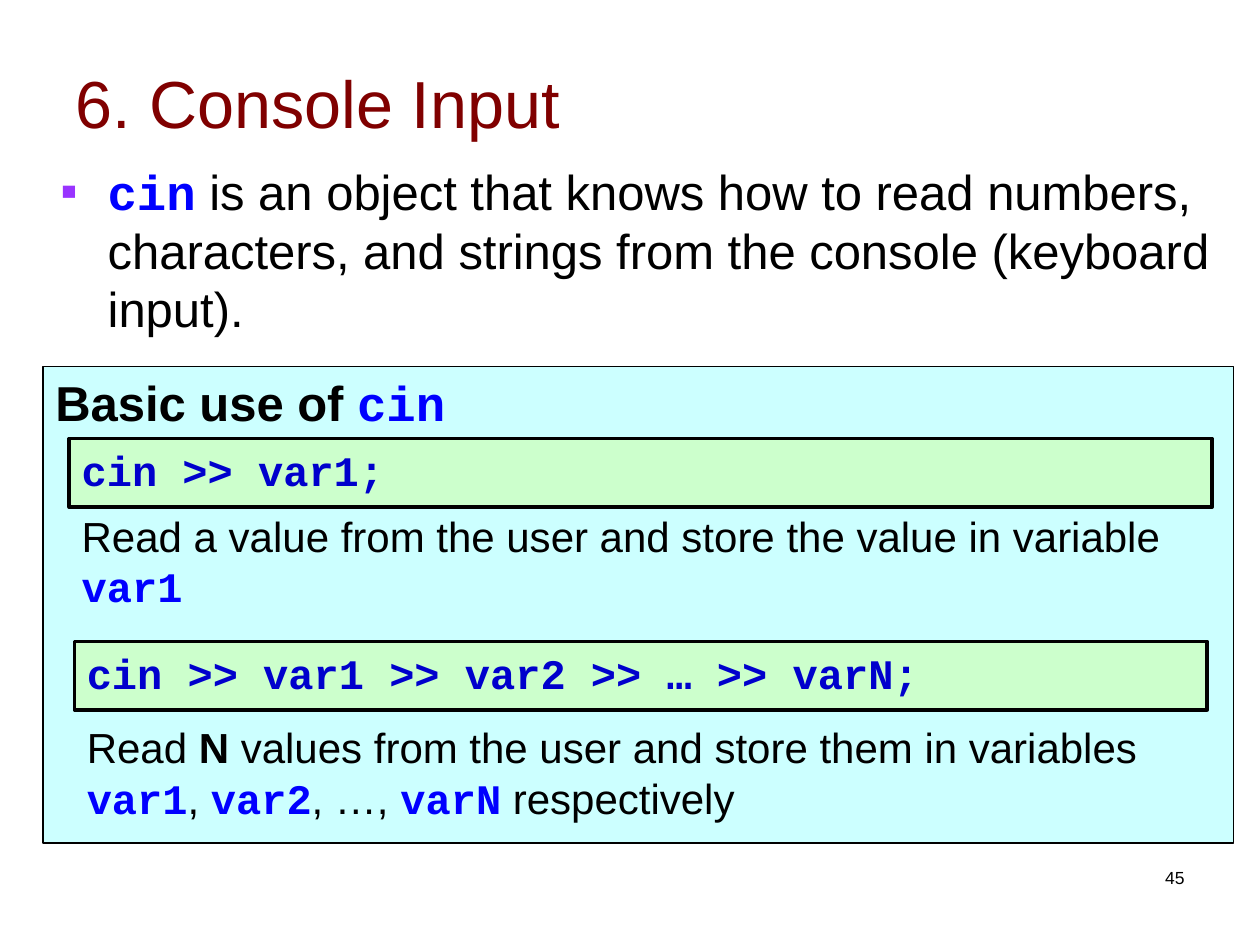
"""Build the console input slide, with its panel of two cin forms."""
from dataclasses import dataclass
from typing import Optional

import pptx
import pptx.dml.color
import pptx.enum.shapes
import pptx.enum.text
import pptx.oxml
import pptx.oxml.ns
import pptx.util

Pt = pptx.util.Pt
Anchor = pptx.enum.text.MSO_ANCHOR
Align = pptx.enum.text.PP_ALIGN


@dataclass(frozen=True)
class Run:
    text: str
    color: str = "000000"
    font: str = "Arial"
    bold: bool = False


@dataclass(frozen=True)
class Block:
    left: float
    top: float
    width: float
    height: float
    size: float
    runs: tuple[Run, ...]
    fill: Optional[str] = None
    line_width: float = 0
    anchor: Anchor = Anchor.TOP
    align: Align = Align.LEFT
    bullet: bool = False


def code(text: str, color: str = "0000FF") -> Run:
    return Run(text, color, "Courier New", True)


def rgb(value: str) -> pptx.dml.color.RGBColor:
    return pptx.dml.color.RGBColor.from_string(value)


def style_font(font, run: Run, size: float) -> None:
    font.name = run.font
    font.size = Pt(size)
    font.bold = run.bold
    font.color.rgb = rgb(run.color)


def add_bullet(paragraph, color: str, character: str, indent: float) -> None:
    paragraph.space_before = Pt(7)
    properties = paragraph._p.get_or_add_pPr()
    properties.set("marL", str(Pt(indent)))
    properties.set("indent", str(-Pt(indent)))
    namespace = pptx.oxml.ns.nsdecls("a")
    for xml in (
        f'<a:buClr {namespace}><a:srgbClr val="{color}"/></a:buClr>',
        f'<a:buFont {namespace} typeface="Arial"/>',
        f'<a:buChar {namespace} char="{character}"/>',
    ):
        properties.append(pptx.oxml.parse_xml(xml))


def add_block(slide, block: Block) -> None:
    bounds = [Pt(value) for value in (block.left, block.top, block.width, block.height)]
    if block.fill:
        shape = slide.shapes.add_shape(pptx.enum.shapes.MSO_SHAPE.RECTANGLE, *bounds)
        shape.shadow.inherit = False
        shape.fill.solid()
        shape.fill.fore_color.rgb = rgb(block.fill)
        shape.line.color.rgb = rgb("000000")
        shape.line.width = Pt(block.line_width)
    else:
        shape = slide.shapes.add_textbox(*bounds)
    frame = shape.text_frame
    frame.word_wrap = True
    frame.vertical_anchor = block.anchor
    paragraph = frame.paragraphs[0]
    paragraph.alignment = block.align
    if block.bullet:
        add_bullet(paragraph, "9933FF", "▪", 27)
    if len(block.runs) == 1:
        style_font(paragraph.font, block.runs[0], block.size)
    for item in block.runs:
        run = paragraph.add_run()
        run.text = item.text
        if len(block.runs) > 1:
            style_font(run.font, item, block.size)


def code_box(left: float, top: float, width: float, text: str) -> Block:
    return Block(left, top, width, 39.2, 24, (code(text, "0000CC"),), "CCFFCC", 2)


BLOCKS = (
    Block(27.4, 88.6, 671, 115.2, 28, (
        code("cin"),
        Run(" is an object that knows how to read numbers, characters, "
            "and strings from the console (keyboard input)."),
    ), bullet=True),
    Block(24.5, 209.5, 680.4, 272.2, 28,
          (Run("Basic use of ", bold=True), code("cin")), "CCFFFF", 0.75),
    Block(36, 13, 665.3, 90, 38, (Run("6. Console Input", "800000"),), anchor=Anchor.MIDDLE),
    code_box(39.6, 250.6, 653, "cin >> var1;"),
    code_box(42.5, 366.5, 647.3, "cin >> var1 >> var2 >> … >> varN;"),
    Block(39.6, 288, 653, 64.8, 24, (
        Run("Read a value from the user and store the value in variable "),
        code("var1"),
    )),
    Block(42.5, 409, 647.3, 64.8, 24, (
        Run("Read "), Run("N", bold=True),
        Run(" values from the user and store them in variables "),
        code("var1"), Run(", "), code("var2"), Run(", …, "), code("varN"),
        Run(" respectively"),
    )),
    Block(516.2, 491.8, 167.8, 36, 10, (Run("45"),), align=Align.RIGHT),
)


def main() -> None:
    presentation = pptx.Presentation()
    presentation.slide_width = Pt(720)
    presentation.slide_height = Pt(540)
    slide = presentation.slides.add_slide(presentation.slide_layouts[6])
    for block in BLOCKS:
        add_block(slide, block)
    presentation.save("out.pptx")


if __name__ == "__main__":
    main()
